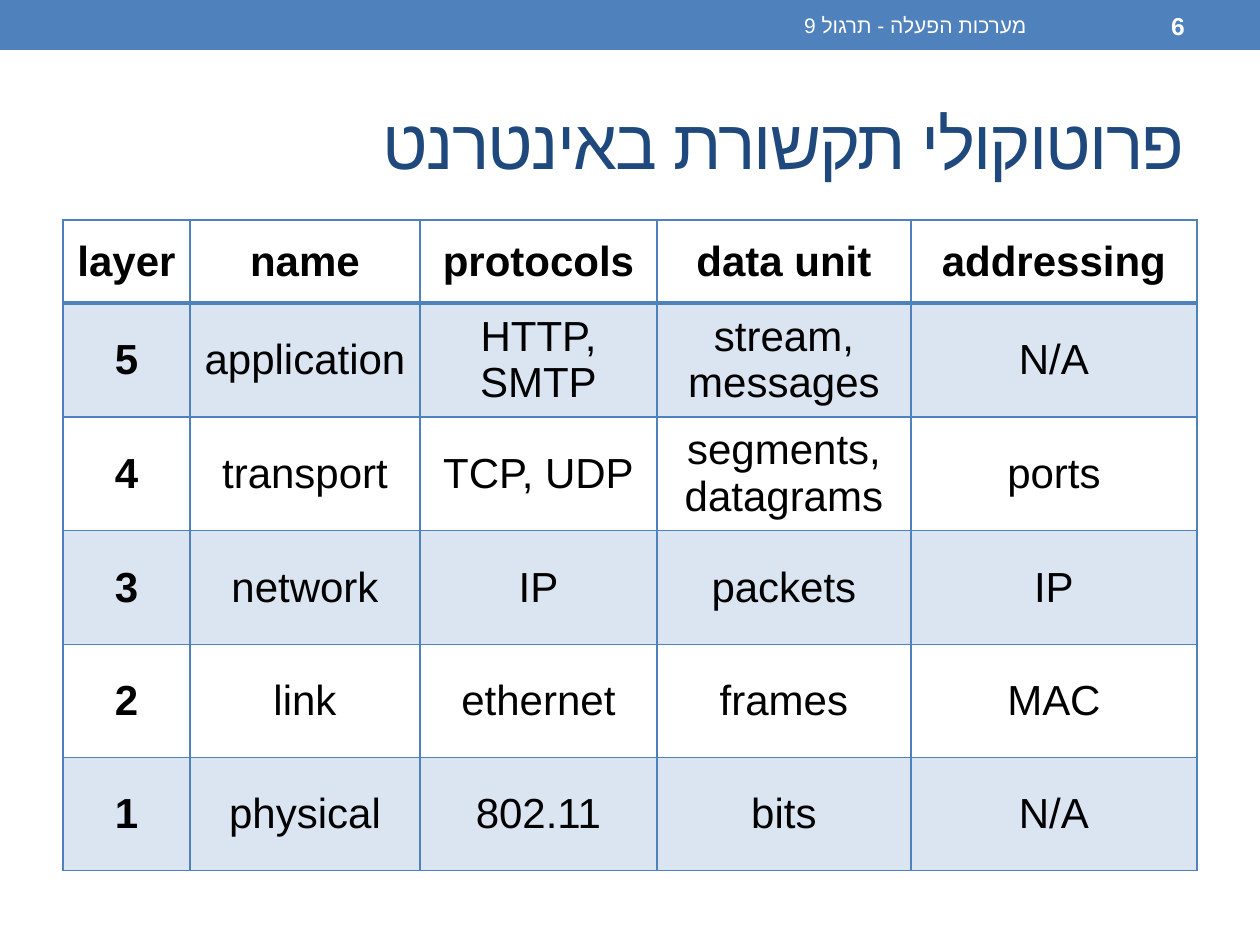
import pptx
import pptx.util
import pptx.dml.color
import pptx.enum.shapes
import pptx.enum.text
import pptx.oxml
import pptx.oxml.ns
from dataclasses import dataclass
from lxml import etree

PX = 914400 / 126
ALIGN = pptx.enum.text.PP_ALIGN
MIDDLE = pptx.enum.text.MSO_ANCHOR.MIDDLE


@dataclass(frozen=True)
class Theme:
    font: str = "Arial"
    accent: str = "4F81BD"
    title: str = "1F497D"
    ink: str = "000000"
    paper: str = "FFFFFF"
    band_alpha: int = 20
    title_size: int = 40
    table_size: int = 24
    number_size: int = 14
    header_size: int = 12


def px(value):
    return pptx.util.Emu(round(value * PX))


def rgb(color):
    return pptx.dml.color.RGBColor.from_string(color)


def add_child(parent, tag, **attributes):
    return etree.SubElement(parent, pptx.oxml.ns.qn(tag), **attributes)


class SlideBuilder:
    def __init__(self, slide, theme):
        self.slide = slide
        self.theme = theme

    def run(self, paragraph, text, size, color, bold=False):
        run = paragraph.add_run()
        run.text = text
        run.font.name = self.theme.font
        run.font.size = pptx.util.Pt(size)
        run.font.bold = bold
        run.font.color.rgb = rgb(color)
        add_child(run.font._element, "a:cs", typeface=self.theme.font)
        return run

    def bar(self, left, top, width, height):
        shape = self.slide.shapes.add_shape(
            pptx.enum.shapes.MSO_SHAPE.RECTANGLE,
            px(left), px(top), px(width), px(height))
        shape.shadow.inherit = False
        shape.fill.solid()
        shape.fill.fore_color.rgb = rgb(self.theme.accent)
        shape.line.fill.background()

    def hebrew(self, box, text, size, color, bold=False, spacing=0):
        shape = self.slide.shapes.add_textbox(*map(px, box))
        frame = shape.text_frame
        frame.word_wrap = True
        frame.vertical_anchor = MIDDLE
        paragraph = frame.paragraphs[0]
        paragraph.alignment = ALIGN.RIGHT
        paragraph._p.get_or_add_pPr().set("rtl", "1")
        run = self.run(paragraph, text, size, color, bold)
        if spacing:
            run.font._element.set("spc", str(spacing * 100))

    def borders(self, cell, widths):
        properties = cell._tc.get_or_add_tcPr()
        for side, width in widths.items():
            line = add_child(properties, f"a:ln{side}", w=str(pptx.util.Pt(width)))
            fill = add_child(line, "a:solidFill")
            add_child(fill, "a:srgbClr", val=self.theme.accent)

    def cell_fill(self, cell, banded):
        if not banded:
            cell.fill.background()
            return
        cell.fill.solid()
        cell.fill.fore_color.rgb = rgb(self.theme.accent)
        color = cell._tc.tcPr.find(".//" + pptx.oxml.ns.qn("a:solidFill")
                                   + "[last()]/" + pptx.oxml.ns.qn("a:srgbClr"))
        direct = cell._tc.tcPr.find(pptx.oxml.ns.qn("a:solidFill"))
        color = direct[0] if direct is not None else color
        add_child(color, "a:alpha", val=str(self.theme.band_alpha * 1000))

    def table(self, left, top, columns, heights, rows):
        frame = self.slide.shapes.add_table(
            len(rows), len(columns), px(left), px(top), px(sum(columns)), px(sum(heights)))
        table = frame.table
        table.first_row = False
        table.horz_banding = False
        for column, width in zip(table.columns, columns):
            column.width = px(width)
        for row, height in zip(table.rows, heights):
            row.height = px(height)
        for i, texts in enumerate(rows):
            widths = {"L": 1, "R": 1, "T": 2 if i == 1 else 1, "B": 2 if i == 0 else 1}
            for j, text in enumerate(texts):
                cell = table.cell(i, j)
                cell.vertical_anchor = MIDDLE
                self.borders(cell, widths)
                self.cell_fill(cell, i % 2 == 1)
                paragraph = cell.text_frame.paragraphs[0]
                paragraph.alignment = ALIGN.CENTER
                self.run(paragraph, text, self.theme.table_size, self.theme.ink,
                         bold=i == 0 or j == 0)


LAYERS = [
    ("layer", "name", "protocols", "data unit", "addressing"),
    ("5", "application", "HTTP, SMTP", "stream, messages", "N/A"),
    ("4", "transport", "TCP, UDP", "segments, datagrams", "ports"),
    ("3", "network", "IP", "packets", "IP"),
    ("2", "link", "ethernet", "frames", "MAC"),
    ("1", "physical", "802.11", "bits", "N/A"),
]


def main():
    theme = Theme()
    presentation = pptx.Presentation()
    presentation.slide_width = px(1260)
    presentation.slide_height = px(945)
    slide = presentation.slides.add_slide(presentation.slide_layouts[6])
    builder = SlideBuilder(slide, theme)
    builder.bar(0, 0, 1260, 50)
    builder.hebrew((63, 73, 1134, 136), "פרוטוקולי תקשורת באינטרנט",
                   theme.title_size, theme.title, spacing=-1)
    builder.table(63, 220, [127, 230, 237, 254, 286],
                  [83, 114, 113, 114, 113, 113], LAYERS)
    builder.hebrew((472, 3, 567, 45), "מערכות הפעלה - תרגול 9",
                   theme.header_size, theme.paper)
    builder.hebrew((1050, 3, 147, 45), "6", theme.number_size, theme.paper, bold=True)
    presentation.save("out.pptx")


if __name__ == "__main__":
    main()
